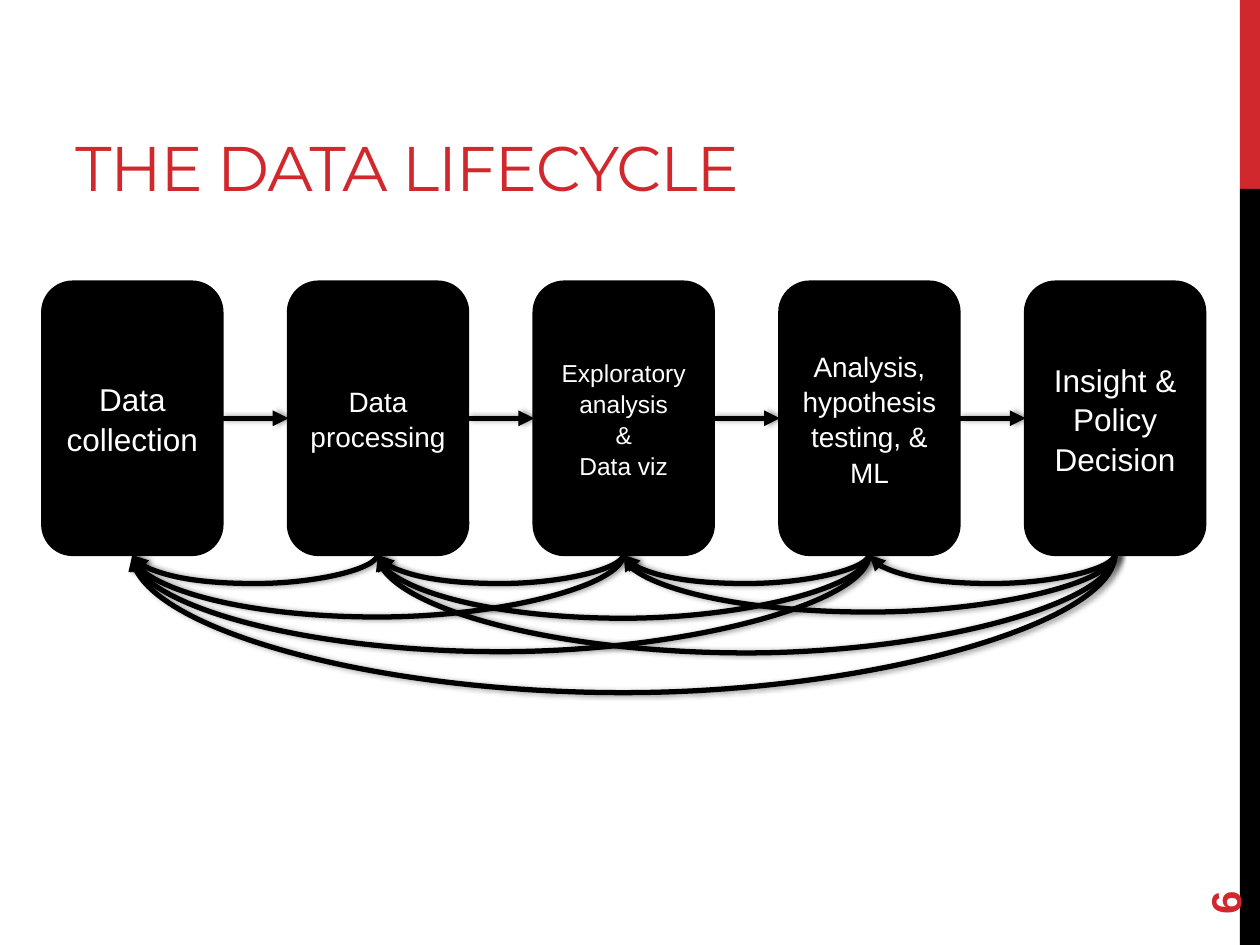
from dataclasses import dataclass

from lxml import etree
from pptx import Presentation
from pptx import util as u
from pptx.dml.color import RGBColor
from pptx.enum import shapes, text
from pptx.oxml import ns

RED, BLACK, WHITE = "D1282E", "000000", "FFFFFF"
BOX_LEFT, BOX_TOP, BOX_WIDTH, BOX_HEIGHT, BOX_STEP = 0.34, 2.24, 1.42, 2.16, 1.95
CURVE_THICKNESS = 0.01
BOTTOM, LEFT, RIGHT = 2, 1, 3


@dataclass
class Stage:
    label: str
    size: int
    # Depth of each curve back to the stages before, nearest first
    return_depths: tuple[float, ...] = ()


STAGES = [
    Stage("Data collection", 18),
    Stage("Data processing", 16, (0.24,)),
    Stage("Exploratory analysis\n&\nData viz", 14, (0.24, 0.51)),
    Stage("Analysis, hypothesis testing, & ML", 16, (0.24, 0.52, 0.79)),
    Stage("Insight & Policy Decision", 18, (0.24, 0.47, 0.8, 1.12)),
]


def colour(value: str) -> RGBColor:
    return RGBColor.from_string(value)


def child(parent, tag: str, **attributes):
    element = etree.SubElement(parent, ns.qn(tag))
    for name, value in attributes.items():
        element.set(name, str(value))
    return element


def write(shape, content: str, *, size: float, color: str, font: str = "Arial",
          bold: bool = False, align=text.PP_ALIGN.LEFT, anchor=text.MSO_ANCHOR.MIDDLE,
          line_spacing: float = 1.0, tracking: int = 0) -> None:
    """Fill a shape with one paragraph per line; tracking is in hundredths of a point."""
    frame = shape.text_frame
    frame.word_wrap = True
    frame.vertical_anchor = anchor
    for index, line in enumerate(content.split("\n")):
        paragraph = frame.add_paragraph() if index else frame.paragraphs[0]
        paragraph.alignment = align
        paragraph.line_spacing = line_spacing
        run = paragraph.add_run()
        run.text = line
        run.font.size = u.Pt(size)
        run.font.name = font
        run.font.bold = bold
        run.font.color.rgb = colour(color)
        if tracking:
            run.font._element.set("spc", str(tracking))


def add_box(slide, kind, left: float, top: float, width: float, height: float,
            fill: str, line_width: float = 0):
    shape = slide.shapes.add_shape(
        kind, u.Inches(left), u.Inches(top), u.Inches(width), u.Inches(height))
    shape.shadow.inherit = False
    shape.fill.solid()
    shape.fill.fore_color.rgb = colour(fill)
    if line_width:
        shape.line.color.rgb = colour(fill)
        shape.line.width = u.Pt(line_width)
    else:
        shape.line.fill.background()
    return shape


def add_text_box(slide, left: float, top: float, width: float, height: float):
    return slide.shapes.add_textbox(
        u.Inches(left), u.Inches(top), u.Inches(width), u.Inches(height))


def add_arrow(slide, kind, start, start_side: int, end, end_side: int):
    """Join two boxes with a thick black arrow that casts a soft shadow."""
    arrow = slide.shapes.add_connector(kind, 0, 0, 0, 0)
    arrow.begin_connect(start, start_side)
    arrow.end_connect(end, end_side)
    arrow.line.color.rgb = colour(BLACK)
    arrow.line.width = u.Pt(3)
    child(arrow.line._get_or_add_ln(), "a:tailEnd", type="triangle")
    effects = child(arrow._element.spPr, "a:effectLst")
    shadow = child(effects, "a:outerShdw", blurRad=u.Pt(3.1), dist=u.Pt(1.8),
                   dir=0, rotWithShape=1)
    shadow_colour = child(shadow, "a:srgbClr", val=BLACK)
    child(shadow_colour, "a:alpha", val=40000)
    return arrow


def add_return_curve(slide, start, end, depth: float) -> None:
    """Hang a curve below two boxes: a thin connector turned by 90 degrees."""
    curve = add_arrow(slide, shapes.MSO_CONNECTOR.CURVE, start, BOTTOM, end, BOTTOM)
    span = start.left - end.left
    thickness = u.Inches(CURVE_THICKNESS)
    middle = (start.left + end.left + start.width) // 2
    properties = curve._element.spPr
    transform = properties.find(ns.qn("a:xfrm"))
    for flip in ("flipH", "flipV"):
        transform.attrib.pop(flip, None)
    transform.set("rot", str(90 * 60000))
    curve.left, curve.top = middle - thickness // 2, start.top + start.height - span // 2
    curve.width, curve.height = thickness, span
    adjustments = properties.find(ns.qn("a:prstGeom")).find(ns.qn("a:avLst"))
    child(adjustments, "a:gd", name="adj1",
          fmla=f"val {round(depth / CURVE_THICKNESS * 100000)}")


def main() -> None:
    presentation = Presentation()
    presentation.slide_width, presentation.slide_height = u.Inches(10), u.Inches(7.5)
    slide = presentation.slides.add_slide(presentation.slide_layouts[6])

    rectangle = shapes.MSO_SHAPE.RECTANGLE
    add_box(slide, rectangle, 9.84, 0, 0.16, 1.5, RED)
    add_box(slide, rectangle, 9.84, 1.5, 0.16, 6, BLACK)

    title = add_text_box(slide, 0.5, 0.17, 6.33, 1.5)
    write(title, "THE DATA LIFECYCLE", size=36, color=RED, font="Montserrat",
          anchor=text.MSO_ANCHOR.BOTTOM, tracking=-60)
    page_number = add_text_box(slide, 9, 6.44, 1.44, 0.4)
    page_number.rotation = 270
    write(page_number, "6", size=24, color=RED, bold=True)

    boxes = []
    for index, stage in enumerate(STAGES):
        box = add_box(slide, shapes.MSO_SHAPE.ROUNDED_RECTANGLE,
                      BOX_LEFT + index * BOX_STEP, BOX_TOP, BOX_WIDTH, BOX_HEIGHT,
                      BLACK, line_width=2)
        write(box, stage.label, size=stage.size, color=WHITE,
              align=text.PP_ALIGN.CENTER, line_spacing=1.05)
        if boxes:
            add_arrow(slide, shapes.MSO_CONNECTOR.STRAIGHT, boxes[-1], RIGHT, box, LEFT)
        for earlier, depth in zip(reversed(boxes), stage.return_depths):
            add_return_curve(slide, box, earlier, depth)
        boxes.append(box)

    presentation.save("out.pptx")


if __name__ == "__main__":
    main()
